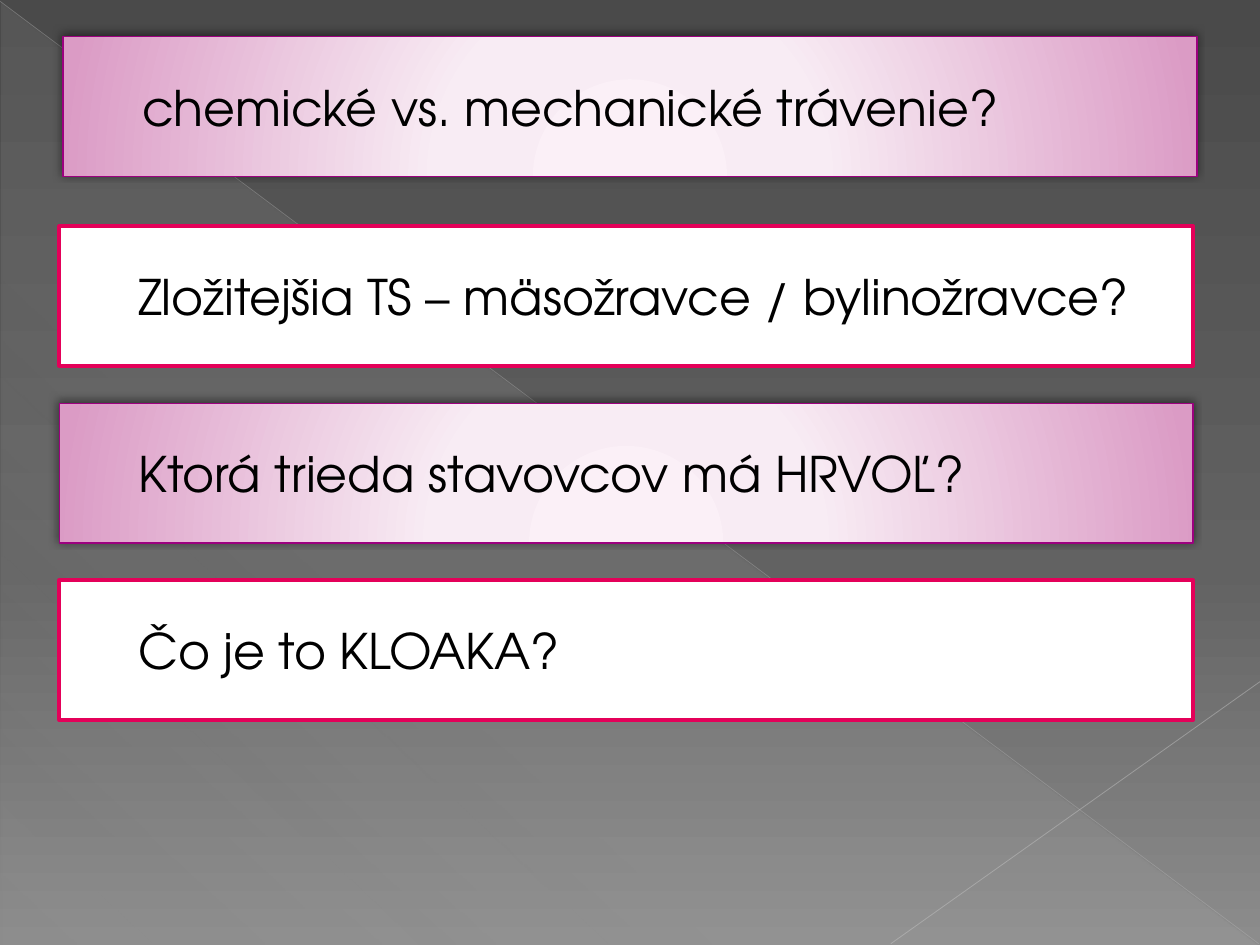
from lxml import etree
from pptx import Presentation
from pptx.dml.color import RGBColor
from pptx.enum.shapes import MSO_CONNECTOR, MSO_SHAPE
from pptx.enum.text import MSO_ANCHOR, PP_ALIGN
from pptx.oxml.ns import qn
from pptx.util import Inches, Pt

QUESTIONS = [
    "chemické vs. mechanické trávenie?",
    "Zložitejšia TS – mäsožravce / bylinožravce?",
    "Ktorá trieda stavovcov má HRVOĽ?",
    "Čo je to KLOAKA?",
]
DIAGONALS = [
    ((0, 0.01), (9.99, 7.49), RGBColor(0xBF, 0xBF, 0xBF), 0.39, 35),
    ((10, 5.41), (7.07, 7.49), RGBColor(0xC6, 0xC6, 0xC6), 0.47, 45),
]
FONT = "TeX Gyre Adventor"
BLACK = RGBColor(0, 0, 0)
WHITE = RGBColor(0xFF, 0xFF, 0xFF)
PURPLE = RGBColor(0x9C, 0x00, 0x7F)
CRIMSON = RGBColor(0xE4, 0x00, 0x59)
TEXT_EDGE = RGBColor(0xB1, 0x27, 0x61)
SHEEN = RGBColor(0xD2, 0xD2, 0xD2)
BACKDROP_STOPS = [
    (0, RGBColor(0x4A, 0x4A, 0x4A), 100),
    (60, RGBColor(0x62, 0x62, 0x62), 100),
    (100, RGBColor(0x8C, 0x8C, 0x8C), 100),
]
SHEEN_STOPS = [(0, SHEEN, 10), (70, SHEEN, 8), (100, SHEEN, 1)]
PINK_STOPS = [
    (0, RGBColor(0xFB, 0xF0, 0xF7), 100),
    (34, RGBColor(0xF8, 0xEC, 0xF4), 100),
    (100, RGBColor(0xDB, 0x9B, 0xC5), 100),
]
LEFT, TOP, WIDTH, HEIGHT, PITCH = 0.47, 0.39, 9, 1.11, 1.405
TITLE_LEFT, TITLE_TOP = 0.5, 0.29


def add_node(parent, tag, **attributes):
    return etree.SubElement(parent, qn(tag), {k: str(v) for k, v in attributes.items()})


def add_color(parent, color, opacity=100):
    node = add_node(parent, "a:srgbClr", val=color)
    if opacity < 100:
        add_node(node, "a:alpha", val=opacity * 1000)


def set_gradient(fill, properties, stops, angle=None):
    fill.solid()
    solid = properties.find(qn("a:solidFill"))
    gradient = etree.Element(qn("a:gradFill"), rotWithShape="1")
    stop_list = add_node(gradient, "a:gsLst")
    for position, color, opacity in stops:
        add_color(add_node(stop_list, "a:gs", pos=position * 1000), color, opacity)
    if angle is None:
        circle = add_node(gradient, "a:path", path="circle")
        add_node(circle, "a:fillToRect", l=50000, t=155000, r=50000, b=-55000)
    else:
        add_node(gradient, "a:lin", ang=angle * 60000, scaled=0)
    properties.replace(solid, gradient)


def write_text(shape, text, *, size, color, edge, indent):
    frame = shape.text_frame
    frame.word_wrap = True
    frame.vertical_anchor = MSO_ANCHOR.MIDDLE
    paragraph = frame.paragraphs[0]
    paragraph.alignment = PP_ALIGN.LEFT
    paragraph_format = paragraph._p.get_or_add_pPr()
    paragraph_format.set("marL", str(Inches(indent)))
    paragraph_format.set("indent", "0")
    run = paragraph.add_run()
    run.text = text
    run.font.size = Pt(size)
    run.font.name = FONT
    run.font.color.rgb = color
    outline = etree.Element(qn("a:ln"), w=str(Pt(0.5)))
    add_color(add_node(outline, "a:solidFill"), edge)
    run._r.get_or_add_rPr().insert(0, outline)


def add_backdrop(slide):
    fill = slide.background.fill
    fill.solid()
    set_gradient(fill, slide.element.find(".//" + qn("p:bgPr")), BACKDROP_STOPS, 90)
    triangle = slide.shapes.add_shape(
        MSO_SHAPE.RIGHT_TRIANGLE, Inches(0.01), Inches(0.02), Inches(9.98), Inches(7.48))
    triangle.shadow.inherit = False
    triangle.line.fill.background()
    set_gradient(triangle.fill, triangle.element.spPr, SHEEN_STOPS, 133)
    for start, end, color, width, opacity in DIAGONALS:
        diagonal = slide.shapes.add_connector(
            MSO_CONNECTOR.STRAIGHT, *map(Inches, start + end))
        diagonal.line.width = Pt(width)
        diagonal.line.color.rgb = color
        properties = diagonal.element.spPr
        add_node(properties.find(".//" + qn("a:srgbClr")), "a:alpha", val=opacity * 1000)
        add_node(properties, "a:effectLst")


def add_question(slide, index, text):
    left, top = (LEFT, TOP + index * PITCH) if index else (TITLE_LEFT, TITLE_TOP)
    panel = slide.shapes.add_shape(
        MSO_SHAPE.RECTANGLE, Inches(left), Inches(top), Inches(WIDTH), Inches(HEIGHT))
    panel.shadow.inherit = False
    if index % 2:
        panel.fill.solid()
        panel.fill.fore_color.rgb = WHITE
        panel.line.color.rgb = CRIMSON
        panel.line.width = Pt(2)
    else:
        properties = panel.element.spPr
        set_gradient(panel.fill, properties, PINK_STOPS)
        panel.line.color.rgb = PURPLE
        panel.line.width = Pt(0.75)
        shadow = add_node(
            properties.find(qn("a:effectLst")), "a:outerShdw",
            blurRad=Pt(5), dist=Pt(2), dir=245 * 60000, algn="tl", rotWithShape=0)
        add_color(shadow, BLACK, 50)
    write_text(panel, text, size=28, color=BLACK, edge=TEXT_EDGE, indent=0.53)


def main():
    deck = Presentation()
    deck.slide_width, deck.slide_height = Inches(10), Inches(7.5)
    slide = deck.slides.add_slide(deck.slide_layouts[6])
    add_backdrop(slide)
    for index, text in enumerate(QUESTIONS):
        add_question(slide, index, text)
    deck.save("out.pptx")


if __name__ == "__main__":
    main()
